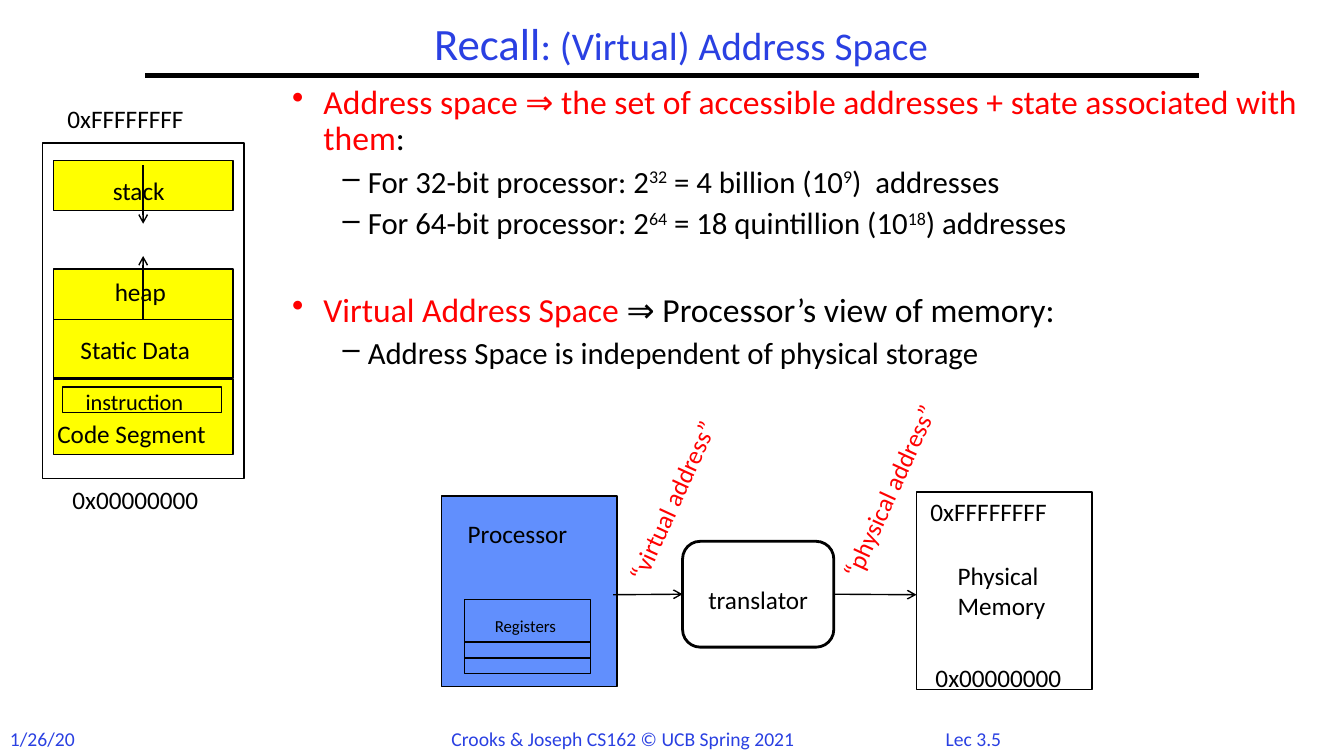
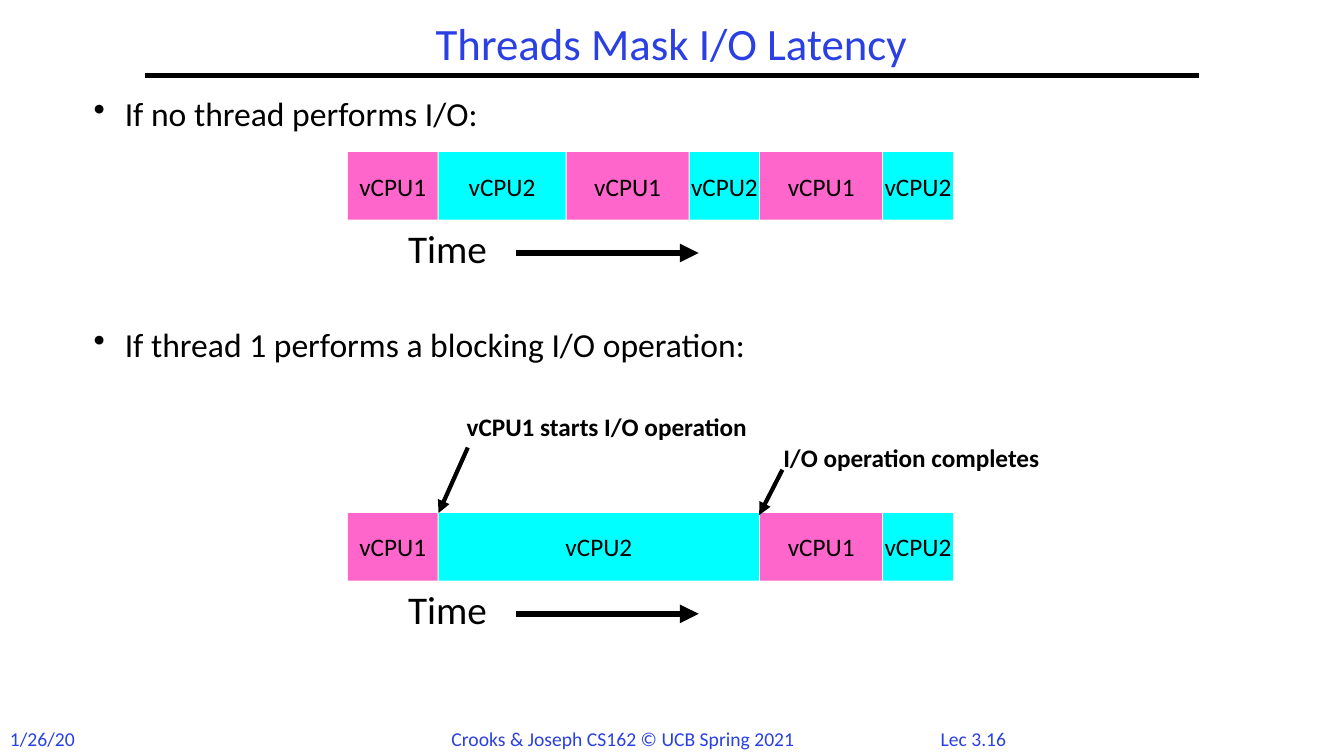
"""Build two lecture slides on address spaces and on threads masking I/O latency."""
from itertools import cycle, pairwise

from pptx import Presentation
from pptx import util as u
from pptx.dml.color import RGBColor
from pptx.enum import shapes, text
from pptx.oxml.ns import qn
from lxml import etree

I = u.Inches


class Theme:
    font = "Calibri"
    ink, accent, red, white = "000000", "2A40E2", "FF0000", "FFFFFF"
    segment, processor, pink, cyan = "FFFF00", "618FFD", "FF66CC", "00FFFF"
    title, title_small, body, sub, time = 32, 28, 24, 22, 28
    label, instruction, footer, small = 18, 16, 14, 12


RECT = shapes.MSO_SHAPE.RECTANGLE
ROUNDED = shapes.MSO_SHAPE.FLOWCHART_ALTERNATE_PROCESS
LEFT, CENTER = text.PP_ALIGN.LEFT, text.PP_ALIGN.CENTER
MIDDLE = text.MSO_ANCHOR.MIDDLE

DATE = "1/26/20"
CREDIT = "Crooks & Joseph CS162 © UCB Spring 2021"
BULLETS = [("•", 0.31, -0.31, Theme.body), ("–", 0.75, -0.25, Theme.sub)]

ADDRESS_TITLE = [("Recall", Theme.title), (": (Virtual) Address Space", Theme.title_small)]
ADDRESS_BODY = [
    (0, 0, [("Address space ⇒ the set of accessible addresses + state associated with them", Theme.red),
            (":", Theme.ink)]),
    (1, 6, [("For 32-bit processor: 2",), ("32", Theme.ink, True), (" = 4 billion (10",),
            ("9", Theme.ink, True), (")  addresses",)]),
    (1, 6, [("For 64-bit processor: 2",), ("64", Theme.ink, True), (" = 18 quintillion (10",),
            ("18", Theme.ink, True), (") addresses",)]),
    (0, 37, [("Virtual Address Space ", Theme.red), ("⇒ Processor’s view of memory:", Theme.ink)]),
    (1, 6, [("Address Space is independent of physical storage",)]),
]
SEGMENTS = {"code": (3.76, 0.75), "static": (3.17, 0.58), "heap": (2.67, 0.5), "stack": (1.59, 0.5)}
SEGMENT_LEFT, SEGMENT_WIDTH = 0.53, 1.78
SPACE_LABELS = [
    ("0xFFFFFFFF", (0.57, 0.98, 1.7, 0.4), Theme.label),
    ("stack", (1.02, 1.69, 0.79, 0.4), Theme.label),
    ("heap", (1.04, 2.69, 0.76, 0.4), Theme.label),
    ("Static Data", (0.7, 3.27, 1.44, 0.4), Theme.label),
    ("instruction", (0.75, 3.8, 1.33, 0.37), Theme.instruction),
    ("Code Segment", (0.47, 4.1, 1.88, 0.4), Theme.label),
    ("0x00000000", (0.62, 4.76, 1.59, 0.4), Theme.label),
]
MACHINE_LABELS = [
    ("Processor", (4.54, 5.09, 1.33, 0.34), Theme.label),
    ("Registers", (4.81, 6.06, 0.9, 0.25), Theme.small),
    ("0xFFFFFFFF", (9.13, 4.87, 1.7, 0.4), Theme.label),
    ("Physical\nMemory", (9.4, 5.51, 1.14, 0.71), Theme.label),
    ("0x00000000", (9.18, 6.52, 1.59, 0.4), Theme.label),
]
ADDRESS_LABELS = [
    ("“virtual address”", (5.68, 4.72, 2.01, 0.4)),
    ("“physical address”", (7.73, 4.59, 2.25, 0.4)),
]

LATENCY_TITLE = [("Threads Mask I/O Latency", Theme.title)]
LATENCY_BODY = [
    (0, 0, [("If no thread performs I/O:",)]),
    (0, 139, [("If thread 1 performs a blocking I/O operation:",)]),
]
TIMELINES = [
    (1.51, [3.45, 4.35, 5.62, 6.84, 7.54, 8.76, 9.46]),
    (5.09, [3.45, 4.35, 7.54, 8.76, 9.46]),
]
THREADS = [("vCPU1", Theme.pink), ("vCPU2", Theme.cyan)]
SLICE_HEIGHT, SLICE_GAP = 0.67, 0.01
EVENTS = [
    ("vCPU1 starts I/O operation", (4.53, 4.03, 3.4, 0.4), (4.64, 4.44), (4.35, 5.09)),
    ("I/O operation completes", (7.67, 4.34, 3.08, 0.4), (7.76, 4.66), (7.53, 5.11)),
]


def rgb(color):
    return RGBColor.from_string(color)


def style(p, size, color=Theme.ink, bold=False):
    for r in p.runs:
        f = r.font
        f.name, f.size, f.bold = Theme.font, u.Pt(size), bold
        f.color.rgb = rgb(color)


def add_label(s, content, at, size=Theme.label, color=Theme.ink, bold=False, align=LEFT, rotation=0):
    sp = s.shapes.add_textbox(*map(I, at))
    sp.rotation = rotation
    tf = sp.text_frame
    tf.word_wrap = False
    tf.auto_size = text.MSO_AUTO_SIZE.SHAPE_TO_FIT_TEXT
    tf.text = content
    for p in tf.paragraphs:
        p.alignment = align
        style(p, size, color, bold)
    return sp


def add_box(s, at, fill=None, line=None, width=1, kind=RECT, content=""):
    sp = s.shapes.add_shape(kind, *map(I, at))
    sp.shadow.inherit = False
    if fill:
        sp.fill.solid()
        sp.fill.fore_color.rgb = rgb(fill)
    else:
        sp.fill.background()
    if line:
        sp.line.color.rgb = rgb(line)
        sp.line.width = u.Pt(width)
    else:
        sp.line.fill.background()
    if content:
        tf = sp.text_frame
        tf.word_wrap = False
        tf.vertical_anchor = MIDDLE
        tf.text = content
        p = tf.paragraphs[0]
        p.alignment = CENTER
        style(p, Theme.label)
    return sp


def add_line(s, start, end, width=1, head=None):
    sp = s.shapes.add_connector(shapes.MSO_CONNECTOR.STRAIGHT, *map(I, start + end))
    sp.line.color.rgb = rgb(Theme.ink)
    sp.line.width = u.Pt(width)
    if head:
        etree.SubElement(sp.line._get_or_add_ln(), qn("a:tailEnd"), type=head)
    etree.SubElement(sp._element.spPr, qn("a:effectLst"))
    return sp


def add_body(s, at, items):
    tf = s.shapes.add_textbox(*map(I, at)).text_frame
    tf.word_wrap = True
    for i, (level, before, runs) in enumerate(items):
        p = tf.paragraphs[0] if i == 0 else tf.add_paragraph()
        mark, left, indent, size = BULLETS[level]
        pPr = p._p.get_or_add_pPr()
        pPr.set("marL", str(I(left)))
        pPr.set("indent", str(I(indent)))
        etree.SubElement(pPr, qn("a:buChar"), char=mark)
        p.level, p.line_spacing, p.space_before = level, 0.9, u.Pt(before)
        for content, *_ in runs:
            p.add_run().text = content
        style(p, size)
        for r, (_, *look) in zip(p.runs, runs):
            if look:
                r.font.color.rgb = rgb(look[0])
            if len(look) > 1:
                r._r.get_or_add_rPr().set("baseline", "30000")


def add_slide(prs, title, left, width, number):
    s = prs.slides.add_slide(prs.slide_layouts[6])
    add_line(s, (1.44, 0.75), (11.89, 0.75), 3)
    add_label(s, DATE, (0, 7.16, 0.85, 0.34), Theme.footer, Theme.accent)
    add_label(s, CREDIT, (4.38, 7.16, 3.63, 0.34), Theme.footer, Theme.accent)
    add_label(s, number, (9.17, 7.16, 0.97, 0.33), Theme.footer, Theme.accent, align=CENTER)
    tf = s.shapes.add_textbox(I(left), I(0.17), I(width), I(0.58)).text_frame
    tf.word_wrap = True
    tf.vertical_anchor = MIDDLE
    p = tf.paragraphs[0]
    p.alignment, p.line_spacing = CENTER, 0.9
    for content, _ in title:
        p.add_run().text = content
    style(p, Theme.title, Theme.accent)
    for r, (_, size) in zip(p.runs, title):
        r.font.size = u.Pt(size)
    return s


def draw_address_space(s):
    add_box(s, (0.42, 1.42, 2, 3.33), line=Theme.ink)
    segments = {name: add_box(s, (SEGMENT_LEFT, top, SEGMENT_WIDTH, height), Theme.segment, Theme.ink)
                for name, (top, height) in SEGMENTS.items()}
    add_box(s, (0.62, 3.84, 1.58, 0.25), line=Theme.ink)
    for content, at, size in SPACE_LABELS:
        add_label(s, content, at, size)
    middle = SEGMENT_LEFT + SEGMENT_WIDTH / 2
    add_line(s, (middle, 1.64), (middle, 2.22), head="arrow")
    growth = add_line(s, (middle, 3.17), (middle, 2.54), head="arrow")
    growth.begin_connect(segments["heap"], 2)


def draw_translation(s):
    add_box(s, (9.09, 4.88, 1.74, 1.96), line=Theme.ink)
    add_box(s, (4.38, 4.92, 1.74, 1.89), Theme.processor, Theme.ink)
    for top, height in [(5.95, 0.73), (6.37, 0.16)]:
        add_box(s, (4.61, top, 1.25, height), line=Theme.ink)
    translator = add_box(s, (6.77, 5.37, 1.5, 1.05), Theme.white, Theme.ink, 2, ROUNDED, "translator")
    translator.text_frame.margin_top = I(0.15)
    for content, at, size in MACHINE_LABELS:
        add_label(s, content, at, size)
    for content, at in ADDRESS_LABELS:
        add_label(s, content, at, color=Theme.red, rotation=294.7)
    add_line(s, (6.08, 5.9), (6.77, 5.9), head="arrow").end_connect(translator, 1)
    add_line(s, (8.27, 5.9), (9.09, 5.9), head="arrow").begin_connect(translator, 3)


def draw_timeline(s, top, switches):
    for (start, end), (thread, fill) in zip(pairwise(switches), cycle(THREADS)):
        add_box(s, (start, top, end - start - SLICE_GAP, SLICE_HEIGHT), fill, content=thread)
    add_label(s, "Time", (3.95, top + SLICE_HEIGHT, 1.17, 0.57), Theme.time)
    add_line(s, (5.12, top + 1), (6.93, top + 1), 4.5, "triangle")


def main():
    prs = Presentation()
    prs.slide_width, prs.slide_height = I(13.33), I(7.5)

    s = add_slide(prs, ADDRESS_TITLE, 1.92, 9.67, "Lec 3.5")
    add_body(s, (2.8, 0.8, 10.2, 6), ADDRESS_BODY)
    draw_translation(s)
    draw_address_space(s)

    s = add_slide(prs, LATENCY_TITLE, 1.44, 10.44, "Lec 3.16")
    add_body(s, (0.83, 0.92, 11.5, 5.25), LATENCY_BODY)
    for top, switches in TIMELINES:
        draw_timeline(s, top, switches)
    for content, at, start, end in EVENTS:
        add_line(s, start, end, 3, "triangle")
        add_label(s, content, at, bold=True)

    prs.save("out.pptx")


if __name__ == "__main__":
    main()
